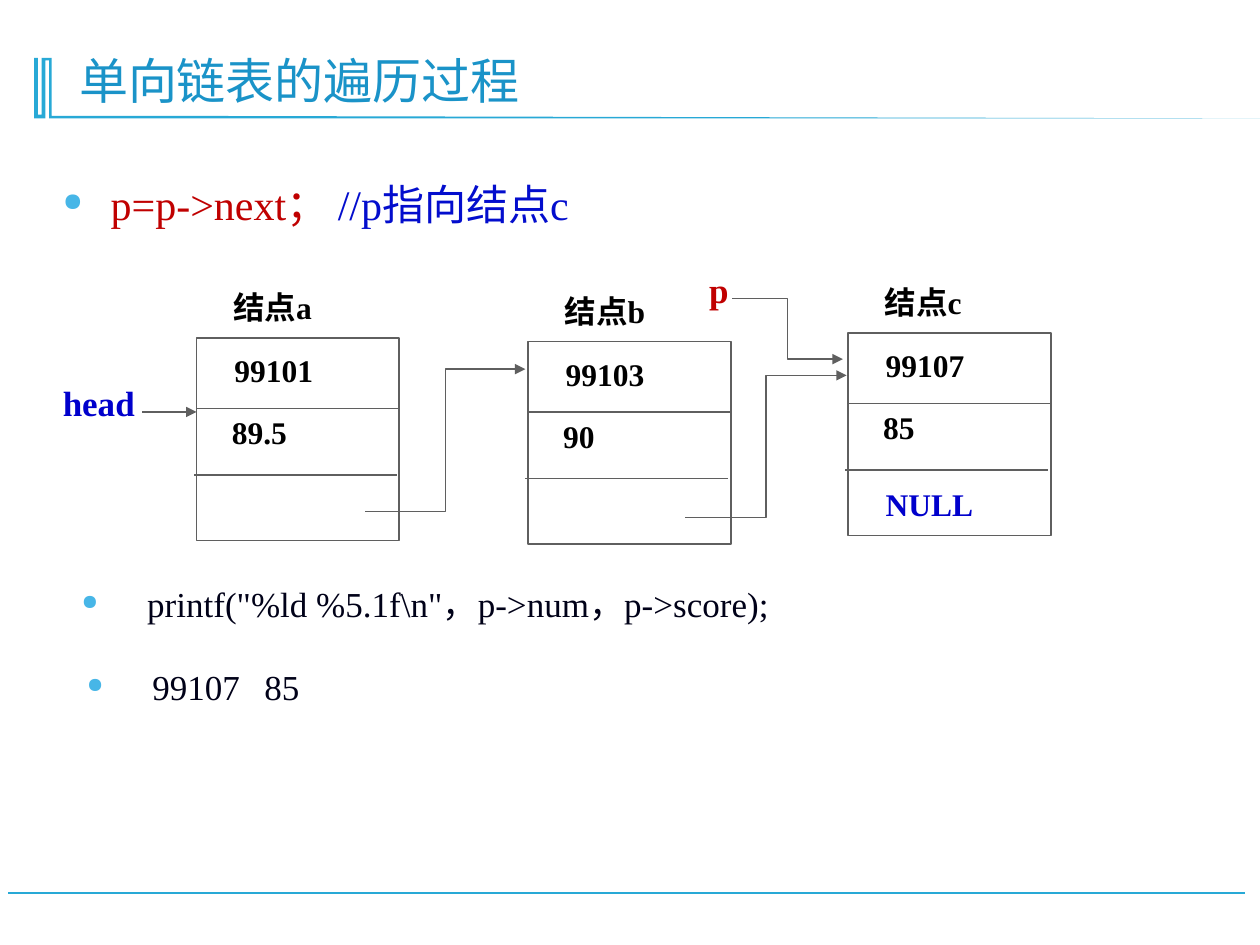
from dataclasses import dataclass

from lxml import etree
from pptx import Presentation
from pptx.dml.color import RGBColor
from pptx.enum import shapes, text
from pptx.oxml import ns
from pptx.util import Emu, Inches, Pt

FONT = "Times New Roman"
GRID = Inches(0.1)
COLUMNS, ROWS = 100, 75
SIDE, TEXT_WIDTH, WIDE = 16.1, 14.4, 88.5
ACCENT, GREY, BLUE, RED, INK = "28A9D6", "5F5F5F", "0000CC", "C00000", "000118"
ELBOW = shapes.MSO_CONNECTOR.ELBOW
STRAIGHT = shapes.MSO_CONNECTOR.STRAIGHT


@dataclass
class Span:
    """A stretch of text in one style."""
    words: str
    size: float
    color: str
    bold: bool = False


@dataclass
class Node:
    """One list node, placed by its top left corner in grid units."""
    column: float
    row: float
    name: str
    number: str
    score: str
    link: str = ""


@dataclass
class Bullet:
    """One bulleted line, with its hanging indent in inches."""
    column: float
    row: float
    height: float
    indent: float
    spans: list[Span]


@dataclass
class Pointer:
    """An arrow from one grid point to another."""
    start: tuple[float, float]
    end: tuple[float, float]


NODES = [
    Node(15.6, 26.8, "结点a", "99101", "89.5"),
    Node(41.9, 27.1, "结点b", "99103", "90"),
    Node(67.3, 26.4, "结点c", "99107", "85", "NULL"),
]
POINTERS = [
    Pointer((11.3, 32.7), (15.6, 32.7)),
    Pointer((29, 40.6), (41.7, 29.3)),
    Pointer((54.4, 41.1), (67.2, 29.8)),
    Pointer((58.1, 23.7), (66.9, 28.5)),
]
BULLETS = [
    Bullet(4, 14.1, 6.1, 0.38, [Span("p=p->next；", 24, RED), Span(" //p指向结点c", 24, "030DCD")]),
    Bullet(5.5, 46.1, 5.1, 0.52, [Span('printf("%ld %5.1f\\n"，p->num，p->score);', 20, INK)]),
    Bullet(5.9, 52.7, 4.8, 0.52, [Span("99107\t85", 20, INK)]),
]
EMBLEM = [
    (4.1, 4.6), (4.1, 9.2), (14, 9.2), (100.9, 9.4), (3.9, 9.4), (3.9, 4.8), (3.6, 4.8),
    (3.6, 9.4), (2.7, 9.4), (2.7, 4.6), (3, 4.6), (3, 9.1), (3.3, 9.1), (3.3, 4.6),
]


def rgb(color: str) -> RGBColor:
    """Turn a hex string into a colour."""
    return RGBColor.from_string(color)


def units(*lengths: float) -> list[Emu]:
    """Turn grid units into slide lengths."""
    return [Emu(round(length * GRID)) for length in lengths]


def add_child(parent, tag: str, **attributes: str):
    """Append a drawing element with its attributes."""
    return etree.SubElement(parent, ns.qn(tag), attributes)


def add_text(page, column: float, row: float, width: float, height: float,
             spans: list[Span], inset: float = 0.1):
    """Place a one-paragraph text box and return it."""
    box = page.shapes.add_textbox(*units(column, row, width, height))
    box.text_frame.word_wrap = True
    box.text_frame.margin_left = Inches(inset)
    para = box.text_frame.paragraphs[0]
    for span in spans:
        run = para.add_run()
        run.text = span.words
        run.font.name, run.font.size, run.font.bold = FONT, Pt(span.size), span.bold
        run.font.color.rgb = rgb(span.color)
    return box


def add_line(page, start: tuple[float, float], end: tuple[float, float],
             kind=STRAIGHT, color: str = GREY, weight: float = 0.75, arrow: bool = False) -> None:
    """Draw a plain or arrowed connector."""
    line = page.shapes.add_connector(kind, *units(*start, *end))
    line.line.color.rgb, line.line.width = rgb(color), Pt(weight)
    if arrow:
        add_child(line.line._get_or_add_ln(), "a:tailEnd", type="triangle")
    add_child(line._element.spPr, "a:effectLst")


def add_frame(page) -> None:
    """Draw the title emblem, the title and the footer rule."""
    add_line(page, (98.8, 70.9), (0.6, 70.9), color=ACCENT, weight=1.25)
    points = [tuple(units(*point)) for point in EMBLEM]
    builder = page.shapes.build_freeform(*points[0])
    builder.add_line_segments(points[1:], close=True)
    emblem = builder.convert_to_shape()
    emblem.shadow.inherit = False
    emblem.fill.solid()
    emblem.fill.fore_color.rgb = rgb(ACCENT)
    emblem.line.fill.background()
    title = add_text(page, 5.3, 2.8, WIDE, 6.4, [Span("单向链表的遍历过程", 28, "1A93C8")])
    title.text_frame.vertical_anchor = text.MSO_ANCHOR.BOTTOM
    title.text_frame.paragraphs[0].line_spacing = 0.9


def add_bullet(page, bullet: Bullet) -> None:
    """Write one bulleted line."""
    box = add_text(page, bullet.column, bullet.row, WIDE, bullet.height, bullet.spans)
    para = box.text_frame.paragraphs[0]
    para.line_spacing, para.space_before = 0.9, Pt(13.5)
    props = para._p.get_or_add_pPr()
    props.set("marL", str(Inches(bullet.indent)))
    props.set("indent", str(-Inches(bullet.indent)))
    add_child(add_child(props, "a:buClr"), "a:srgbClr", val="47B6E7")
    add_child(props, "a:buSzPct", val="60000")
    add_child(props, "a:buChar", char="●")
    add_child(add_child(props, "a:tabLst"), "a:tab", pos=str(Inches(1.41)), algn="l")


def add_node(page, node: Node) -> None:
    """Draw a node with its caption, dividers and fields."""
    x, y = node.column, node.row
    frame = page.shapes.add_shape(shapes.MSO_SHAPE.RECTANGLE, *units(x, y, SIDE, SIDE))
    frame.shadow.inherit = False
    frame.fill.solid()
    frame.fill.fore_color.rgb = rgb("FFFFFF")
    frame.line.color.rgb, frame.line.width = rgb(GREY), Pt(1)
    for shift, drop in ((0, 5.6), (-0.2, 10.9)):
        add_line(page, (x + shift, y + drop), (x + shift + SIDE, y + drop))
    add_text(page, x, y - 4.4, SIDE, 4, [Span(node.name, 18, "000000", True)], 0.29)
    fields = (
        (0.8, 0.6, node.number, "000000"),
        (0.6, 5.5, node.score, "000000"),
        (0.8, 11.6, node.link, BLUE),
    )
    for shift, drop, words, color in fields:
        if words:
            add_text(page, x + shift, y + drop, TEXT_WIDTH, 3.8,
                     [Span(words, 18, color, True)], 0.22)


def main() -> None:
    """Build the linked list slide."""
    deck = Presentation()
    deck.slide_width, deck.slide_height = units(COLUMNS, ROWS)
    page = deck.slides.add_slide(deck.slide_layouts[6])
    add_frame(page)
    for node in NODES:
        add_node(page, node)
    add_text(page, 4, 29.8, 9.3, 4.4, [Span("head", 20, BLUE, True)])
    add_text(page, 55.3, 20.8, 10.7, 4.4, [Span("p", 20, RED, True)])
    for pointer in POINTERS:
        add_line(page, pointer.start, pointer.end, kind=ELBOW, arrow=True)
    for bullet in BULLETS:
        add_bullet(page, bullet)
    deck.save("out.pptx")


if __name__ == "__main__":
    main()
